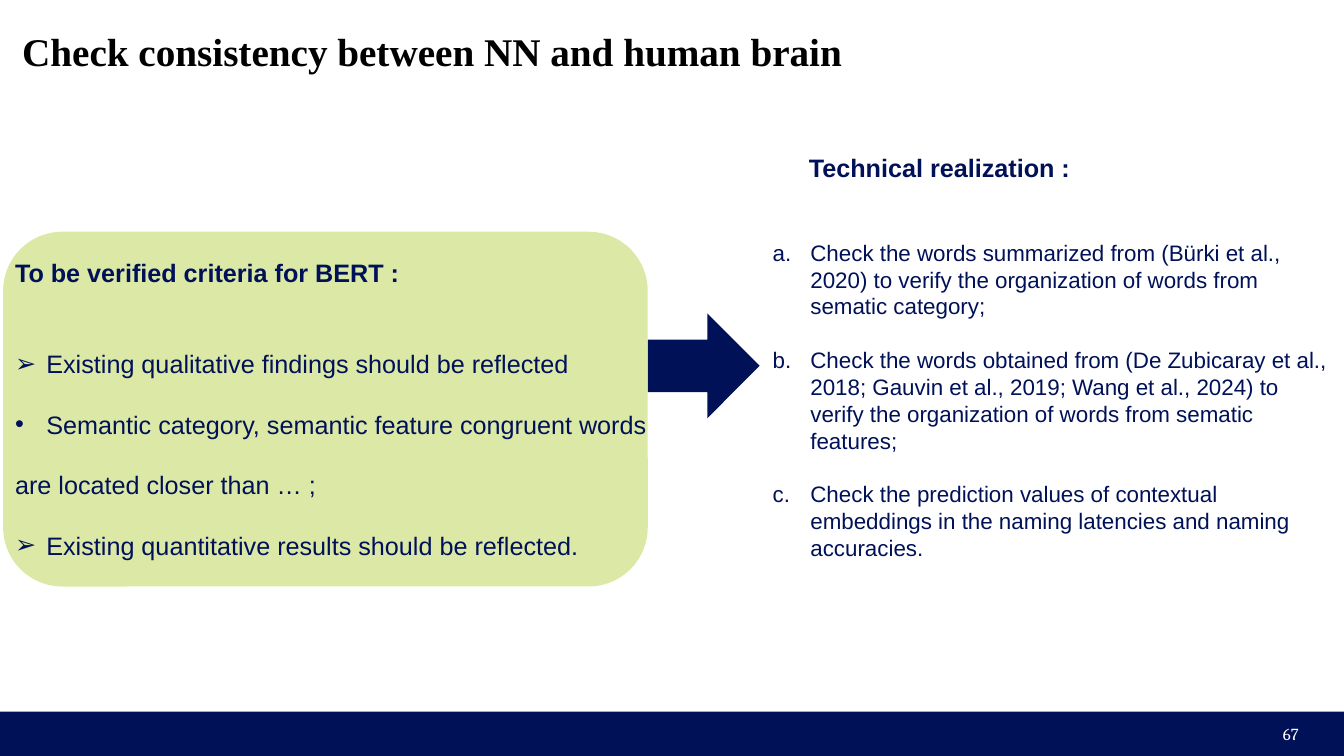
"""Build the slide on consistency between neural networks and the human brain."""
from lxml import etree
from pptx import Presentation
from pptx.dml.color import RGBColor
from pptx.enum.shapes import MSO_SHAPE
from pptx.enum.text import MSO_ANCHOR, PP_ALIGN
from pptx.oxml.ns import qn
from pptx.util import Cm, Pt

RECTANGLE = MSO_SHAPE.RECTANGLE
ROUNDED = MSO_SHAPE.ROUNDED_RECTANGLE
ARROW = MSO_SHAPE.RIGHT_ARROW
TOP, MIDDLE = MSO_ANCHOR.TOP, MSO_ANCHOR.MIDDLE
LEFT, RIGHT = PP_ALIGN.LEFT, PP_ALIGN.RIGHT
NAVY, GREEN, WHITE, BLACK = "001158", "DCE9A6", "FFFFFF", "000000"
NUMBERED = "alphaLcPeriod"


def color(value):
    return RGBColor.from_string(value)


def add_text(box, paragraphs, size=18, font="Arial", fill=NAVY, bold=False, inset=(0.25, 0.13),
             anchor=TOP, align=LEFT):
    """Write (text, format) pairs; a format may hold bullet, indent, before, spacing and bold."""
    left, top, width, height = (Cm(length) for length in box)
    frame = slide.shapes.add_textbox(left, top, width, height).text_frame
    frame.word_wrap = True
    frame.vertical_anchor = anchor
    frame.margin_left = frame.margin_right = Cm(inset[0])
    frame.margin_top = frame.margin_bottom = Cm(inset[1])
    for index, (text, style) in enumerate(paragraphs):
        paragraph = frame.paragraphs[0] if index == 0 else frame.add_paragraph()
        paragraph.alignment = align
        paragraph.line_spacing = style.get("spacing")
        if index and "before" in style:
            paragraph.space_before = Pt(style["before"])
        bullet = style.get("bullet")
        if bullet:
            properties = paragraph._p.get_or_add_pPr()
            indent = Cm(style["indent"])
            properties.set("marL", str(indent))
            properties.set("indent", str(-indent))
            etree.SubElement(properties, qn("a:buFont"), typeface="Arial")
            if bullet == NUMBERED:
                etree.SubElement(properties, qn("a:buAutoNum"), type=bullet)
            else:
                etree.SubElement(properties, qn("a:buChar"), char=bullet)
        run = paragraph.add_run()
        run.text = text
        run.font.name = font
        run.font.size = Pt(size)
        run.font.bold = style.get("bold", bold)
        run.font.color.rgb = color(fill)


presentation = Presentation()
presentation.slide_width = Cm(33.88)
presentation.slide_height = Cm(19.05)
slide = presentation.slides.add_slide(presentation.slide_layouts[6])

for kind, box, fill in (
    (RECTANGLE, (0, 17.93, 33.88, 1.12), NAVY),
    (ROUNDED, (0.08, 5.84, 16.25, 8.94), GREEN),
    (ARROW, (16.33, 7.9, 2.82, 2.64), NAVY),
):
    shape = slide.shapes.add_shape(kind, *(Cm(length) for length in box))
    shape.shadow.inherit = False
    shape.fill.solid()
    shape.fill.fore_color.rgb = color(fill)
    shape.line.fill.background()

add_text((0.56, -0.05, 30.78, 2.64), [("Check consistency between NN and human brain", {})],
         size=28, font="Times New Roman", fill=BLACK, bold=True, inset=(0, 0), anchor=MIDDLE)
add_text((25.37, 17.98, 7.62, 1.02), [("67", {})],
         size=12, font="Cambria", fill=WHITE, anchor=MIDDLE, align=RIGHT)
add_text((20.14, 3.71, 7.8, 1.02), [("Technical realization :", {})], bold=True)

arrow_item = {"bullet": "➢", "indent": 0.79, "spacing": 2}
criteria = [
    ("To be verified criteria for BERT :", {"bold": True}),
    ("Existing qualitative findings should be reflected", {**arrow_item, "before": 22}),
    ("Semantic category, semantic feature congruent words", {**arrow_item, "bullet": "•"}),
    ("are located closer than … ;", {"spacing": 2}),
    ("Existing quantitative results should be reflected.", arrow_item),
]
add_text((0.08, 6.18, 16.9, 8.46), criteria, inset=(0.3, 0.3))

checks = [
    "Check the words summarized from (Bürki et al., 2020) to verify the organization of words "
    "from sematic category;",
    "Check the words obtained from (De Zubicaray et al., 2018; Gauvin et al., 2019; "
    "Wang et al., 2024) to verify the organization of words from sematic features;",
    "Check the prediction values of contextual embeddings in the naming latencies "
    "and naming accuracies.",
]
step = {"bullet": NUMBERED, "indent": 0.95, "before": 19}
add_text((19.18, 5.72, 14.66, 8.94), [(check, step) for check in checks],
         size=16, inset=(0.3, 0.3))

presentation.save("out.pptx")
